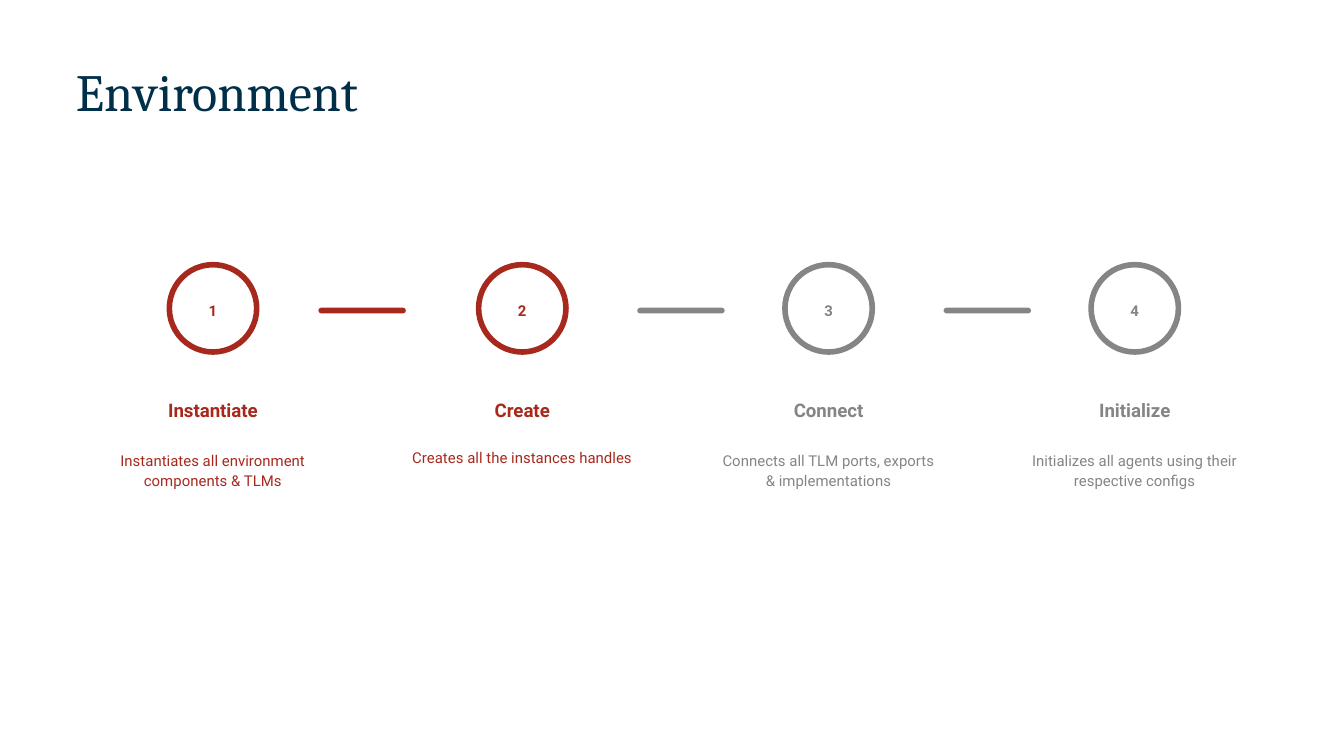
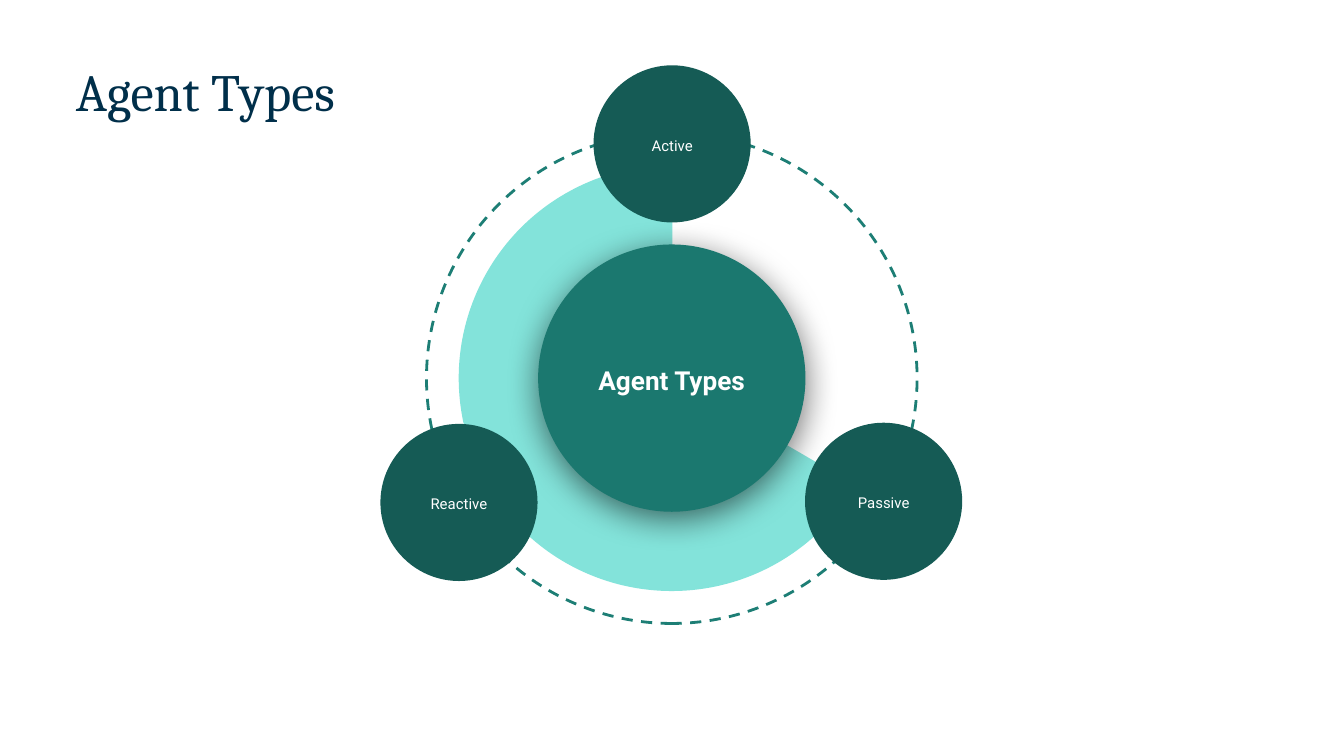
from lxml.etree import SubElement
from pptx import Presentation
from pptx.dml.color import RGBColor
from pptx.enum.dml import MSO_LINE
from pptx.enum.shapes import MSO_SHAPE
from pptx.enum.text import MSO_ANCHOR, MSO_AUTO_SIZE, PP_ALIGN
from pptx.oxml.ns import qn
from pptx.util import Pt

COLORS = {
    "title": "002F4A",
    "done": "A7291E",
    "pending": "858585",
    "ring": "1D7E75",
    "sector": "83E3DA",
    "hub": "1B786F",
    "satellite": "155B55",
    "white": "FFFFFF",
    "shadow": "000000",
}
TITLE_FONT = "Cambria"
BODY_FONT = "Roboto"

# number, centre, heading, description, colour
STEPS = [
    (1, 114.1, "Instantiate", "Instantiates all environment components & TLMs", "done"),
    (2, 279.8, "Create", "Creates all the instances handles", "done"),
    (3, 443.9, "Connect", "Connects all TLM ports, exports & implementations", "pending"),
    (4, 607.9, "Initialize", "Initializes all agents using their respective configs", "pending"),
]
# left edge, colour
STEP_BARS = [(170.6, "done"), (341.4, "pending"), (505.5, "pending")]

WHEEL_CENTER = (359.9, 202.6)
# label, centre
SATELLITES = [
    ("Active", (360.1, 77.1)),
    ("Reactive", (245.9, 269.2)),
    ("Passive", (473.4, 268.6)),
]


def rgb(name):
    return RGBColor.from_string(COLORS[name])


def set_attributes(target, values):
    for name, value in values.items():
        setattr(target, name, value)


def set_font(paragraph, color, **values):
    set_attributes(paragraph.font, values)
    paragraph.font.color.rgb = rgb(color)


def set_frame(frame, horizontal, vertical, **values):
    set_attributes(frame, {
        "margin_left": Pt(horizontal), "margin_right": Pt(horizontal),
        "margin_top": Pt(vertical), "margin_bottom": Pt(vertical),
        "word_wrap": True, **values,
    })


def add_titled_slide(presentation, text):
    slide = presentation.slides.add_slide(presentation.slide_layouts[5])
    title = slide.shapes.title
    set_attributes(title, {"left": Pt(35.3), "top": Pt(32.4),
                           "width": Pt(620.6), "height": Pt(36)})
    frame = title.text_frame
    frame.text = text
    set_frame(frame, 5.4, 2.7, vertical_anchor=MSO_ANCHOR.BOTTOM,
              auto_size=MSO_AUTO_SIZE.SHAPE_TO_FIT_TEXT)
    paragraph = frame.paragraphs[0]
    set_attributes(paragraph, {"alignment": PP_ALIGN.LEFT, "line_spacing": 0.9})
    set_font(paragraph, "title", name=TITLE_FONT, size=Pt(28))
    return slide


def add_label(shapes, text, center, top, width, height, color, size=8,
              bold=False, anchor=MSO_ANCHOR.TOP, space_after=0):
    """Add a text box centred horizontally on center."""
    box = shapes.add_textbox(Pt(center - width / 2), Pt(top), Pt(width), Pt(height))
    frame = box.text_frame
    frame.text = text
    set_frame(frame, 7.2, 7.2, vertical_anchor=anchor)
    paragraph = frame.paragraphs[0]
    set_attributes(paragraph, {"alignment": PP_ALIGN.CENTER, "line_spacing": 1.15,
                               "space_after": Pt(space_after)})
    set_font(paragraph, color, name=BODY_FONT, size=Pt(size), bold=bold)


def add_preset(shapes, kind, left, top, width, height, fill=None, line=None, weight=0):
    shape = shapes.add_shape(kind, Pt(left), Pt(top), Pt(width), Pt(height))
    shape.shadow.inherit = False
    if fill:
        shape.fill.solid()
        shape.fill.fore_color.rgb = rgb(fill)
    else:
        shape.fill.background()
    if line:
        shape.line.color.rgb = rgb(line)
        shape.line.width = Pt(weight)
    else:
        shape.line.fill.background()
    return shape


def add_round(shapes, center, diameter, kind=MSO_SHAPE.OVAL, **style):
    x, y = center
    return add_preset(shapes, kind, x - diameter / 2, y - diameter / 2,
                      diameter, diameter, **style)


def add_soft_shadow(shape):
    effects = shape._element.spPr.find(qn("a:effectLst"))
    shadow = SubElement(effects, qn("a:outerShdw"), blurRad=str(Pt(18)),
                        dist=str(Pt(4)), dir="5400000", algn="bl", rotWithShape="0")
    color = SubElement(shadow, qn("a:srgbClr"), val=COLORS["shadow"])
    SubElement(color, qn("a:alpha"), val="55000")


def add_step(slide, number, center, heading, description, color):
    shapes = slide.shapes.add_group_shape().shapes
    add_round(shapes, (center, 165.2), 46.8, line=color, weight=3)
    add_label(shapes, str(number), center, 154.8, 34.6, 25.2, color,
              bold=True, space_after=16)
    add_label(shapes, heading, center, 197.3, 134.6, 35.3, color, size=10,
              bold=True, anchor=MSO_ANCHOR.BOTTOM)
    add_label(shapes, description, center, 233.3, 134.6, 58.3, color, space_after=16)


def add_step_bar(slide, left, color):
    bar = add_preset(slide.shapes, MSO_SHAPE.ROUNDED_RECTANGLE,
                     left, 164.9, 46.8, 3, fill=color)
    bar.adjustments[0] = 0.5


def add_wheel(slide):
    """Add the dashed ring and the sector behind the hub."""
    shapes = slide.shapes.add_group_shape().shapes
    ring = add_round(shapes, WHEEL_CENTER, 262.8, line="ring", weight=1.5)
    ring.rotation = 270
    ring.line.dash_style = MSO_LINE.DASH
    sector = add_round(shapes, WHEEL_CENTER, 228.2, MSO_SHAPE.PIE, fill="sector")
    for index, degrees in enumerate((30.2, 270.25)):
        sector.adjustments[index] = degrees * 0.6


def add_disc(slide, text, center, diameter, fill, width, height, **style):
    """Add a filled circle with a label at its middle, and return the circle."""
    shapes = slide.shapes.add_group_shape().shapes
    disc = add_round(shapes, center, diameter, fill=fill)
    x, y = center
    add_label(shapes, text, x, y - height / 2, width, height, "white",
              anchor=MSO_ANCHOR.MIDDLE, **style)
    return disc


def build_environment(presentation):
    slide = add_titled_slide(presentation, "Environment")
    for bar in STEP_BARS:
        add_step_bar(slide, *bar)
    for step in STEPS:
        add_step(slide, *step)


def build_agent_types(presentation):
    slide = add_titled_slide(presentation, "Agent Types")
    add_wheel(slide)
    hub = add_disc(slide, "Agent Types", WHEEL_CENTER, 143.2, "hub", 105.8, 64.8,
                   size=14, bold=True)
    add_soft_shadow(hub)
    for label, center in SATELLITES:
        add_disc(slide, label, center, 84.2, "satellite", 59.8, 57.6)


def main():
    presentation = Presentation()
    set_attributes(presentation, {"slide_width": Pt(720), "slide_height": Pt(405)})
    build_environment(presentation)
    build_agent_types(presentation)
    presentation.save("out.pptx")


if __name__ == "__main__":
    main()
